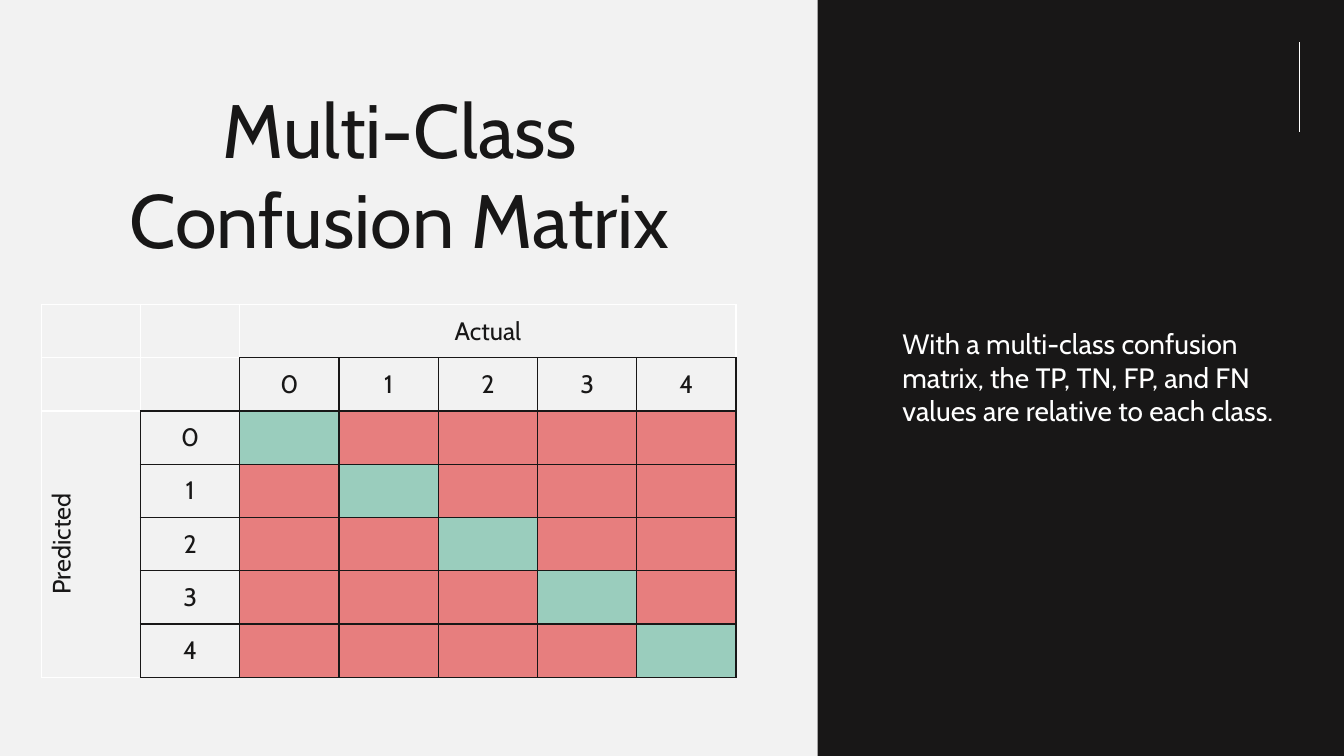
from dataclasses import dataclass

from lxml.etree import SubElement
from pptx import Presentation
from pptx.dml.color import RGBColor
from pptx.enum.shapes import MSO_CONNECTOR as Connector, MSO_SHAPE as Shape
from pptx.enum.text import MSO_ANCHOR as Anchor, PP_ALIGN as Align
from pptx.oxml.ns import qn
from pptx.util import Inches, Pt

# Content
TITLE = "Multi-Class Confusion Matrix"
EXPLANATION = ("With a multi-class confusion matrix, the TP, TN, FP, and FN "
               "values are relative to each class.")
COLUMN_AXIS, ROW_AXIS = "Actual", "Predicted"
CLASSES = ["0", "1", "2", "3", "4"]


@dataclass(frozen=True)
class Theme:
    font: str = "Cabin"
    paper: str = "F2F2F2"
    ink: str = "181717"
    white: str = "FFFFFF"
    correct: str = "9ACDBD"
    wrong: str = "E77E7E"
    title_size: int = 54
    body_size: int = 20
    table_size: int = 18
    grid_width: float = 1
    accent_width: float = 0.5


theme = Theme()
HEAD = 2  # heading rows and columns before the matrix itself
SIDES = {"a:lnL": (0, -1), "a:lnR": (0, 1), "a:lnT": (-1, 0), "a:lnB": (1, 0)}


def color(code):
    return RGBColor.from_string(code)


def write(frame, text, size, ink, align):
    para = frame.paragraphs[0]
    para.alignment = align
    para.space_before = Pt(0)
    span = para.add_run()
    span.text = text
    span.font.name = theme.font
    span.font.size = Pt(size)
    span.font.color.rgb = color(ink)
    return para


def place(box, left, top, width, height):
    box.left, box.top = Inches(left), Inches(top)
    box.width, box.height = Inches(width), Inches(height)
    box.text_frame.word_wrap = True


def is_boxed(row, column):
    return row >= 1 and column >= 1 and row + column > HEAD


def draw_borders(cell, row, column):
    properties = cell._tc.get_or_add_tcPr()
    for side, (down, across) in SIDES.items():
        if is_boxed(row, column) or is_boxed(row + down, column + across):
            line = SubElement(properties, qn(side), w=str(Pt(theme.grid_width)))
            fill = SubElement(line, qn("a:solidFill"))
            SubElement(fill, qn("a:srgbClr"), val=theme.ink)


def label(cell, text):
    cell.vertical_anchor = Anchor.MIDDLE
    write(cell.text_frame, text, theme.table_size, theme.ink, Align.CENTER)


def add_matrix(page):
    count = HEAD + len(CLASSES)
    frame = page.shapes.add_table(count, count, Inches(0.41), Inches(3.02),
                                  Inches(6.89), Inches(3.7))
    table = frame.table
    table.first_row = table.horz_banding = False

    # Borders and diagonal colouring
    for row in range(count):
        for column in range(count):
            cell = table.cell(row, column)
            draw_borders(cell, row, column)
            if min(row, column) >= HEAD:
                cell.fill.solid()
                cell.fill.fore_color.rgb = color(
                    theme.correct if row == column else theme.wrong)
            else:
                cell.fill.background()

    # Axis and class labels
    last = count - 1
    table.cell(0, HEAD).merge(table.cell(0, last))
    table.cell(HEAD, 0).merge(table.cell(last, 0))
    label(table.cell(0, HEAD), COLUMN_AXIS)
    label(table.cell(HEAD, 0), ROW_AXIS)
    table.cell(HEAD, 0)._tc.get_or_add_tcPr().set("vert", "vert270")
    for index, name in enumerate(CLASSES, HEAD):
        label(table.cell(1, index), name)
        label(table.cell(index, 1), name)


def main():
    deck = Presentation()
    deck.slide_width, deck.slide_height = Inches(13.33), Inches(7.5)
    page = deck.slides.add_slide(deck.slide_layouts[1])
    page.background.fill.solid()
    page.background.fill.fore_color.rgb = color(theme.paper)

    # Dark side panel, behind the text
    panel = page.shapes.add_shape(Shape.RECTANGLE, Inches(8.11), 0,
                                  Inches(5.22), Inches(7.5))
    panel.shadow.inherit = False
    panel.fill.solid()
    panel.fill.fore_color.rgb = color(theme.ink)
    panel.line.fill.background()
    page.shapes._spTree.insert(2, panel._element)

    # Accent line
    accent = page.shapes.add_connector(Connector.STRAIGHT, Inches(12.89),
                                       Inches(0.42), Inches(12.89), Inches(1.31))
    accent.line.color.rgb = color(theme.white)
    accent.line.width = Pt(theme.accent_width)
    SubElement(accent._element.spPr, qn("a:effectLst"))

    # Title
    title = page.shapes.title
    place(title, 1.1, 0.77, 5.73, 1.92)
    title.text_frame.vertical_anchor = Anchor.TOP
    write(title.text_frame, TITLE, theme.title_size, theme.ink, Align.CENTER)

    # Explanation, without a bullet
    body = page.placeholders[1]
    place(body, 8.85, 3.19, 3.94, 1.11)
    para = write(body.text_frame, EXPLANATION, theme.body_size, theme.white, Align.LEFT)
    properties = para._p.get_or_add_pPr()
    properties.set("marL", "0")
    properties.set("indent", "0")
    SubElement(properties, qn("a:buNone"))

    add_matrix(page)
    deck.save("out.pptx")


if __name__ == "__main__":
    main()
